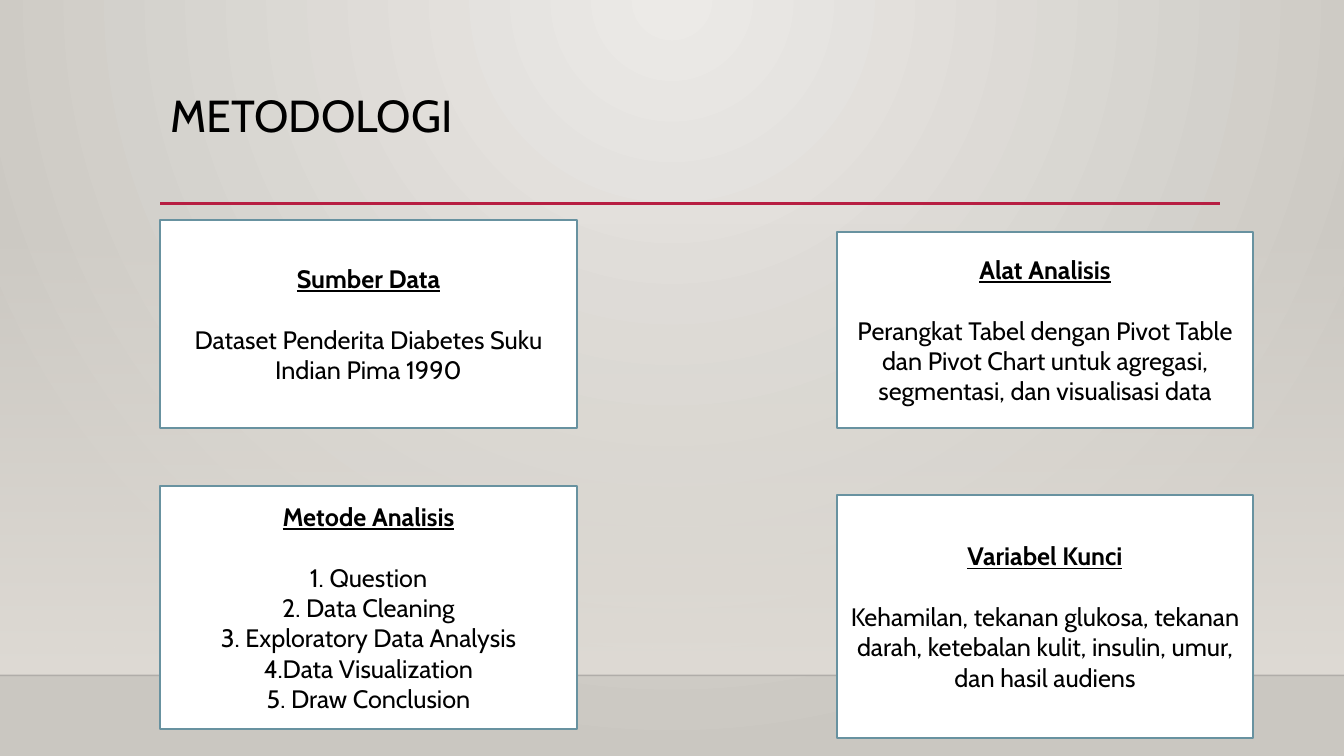
from dataclasses import dataclass

import lxml.etree
import pptx
import pptx.dml.color
import pptx.enum.shapes
import pptx.enum.text
import pptx.oxml.ns
import pptx.util

Inches = pptx.util.Inches
Pt = pptx.util.Pt
qn = pptx.oxml.ns.qn


def rgb(value: str) -> pptx.dml.color.RGBColor:
    return pptx.dml.color.RGBColor.from_string(value)


@dataclass(frozen=True)
class Theme:
    font: str = "Cabin"
    ink: str = "000000"
    card: str = "FFFFFF"
    card_border: str = "6892A0"
    accent: str = "B71E42"
    glow: str = "ECEAE7"
    backdrop: str = "CAC7C1"
    wall: str = "DFDBD5"
    floor_edge: str = "000001"
    title_size: int = 32
    body_size: int = 18
    heading_gap: int = 22


@dataclass(frozen=True)
class Card:
    left: float
    top: float
    height: float
    heading: str
    body: tuple[str, ...]


THEME = Theme()
SLIDE_WIDTH, SLIDE_HEIGHT = 13.33, 7.5
FLOOR_TOP = 6.7
LEFT_COLUMN, RIGHT_COLUMN = 1.59, 8.3
CARD_WIDTH = 4.13

CARDS = (
    Card(LEFT_COLUMN, 2.18, 2.07, "Sumber Data",
         ("Dataset Penderita Diabetes Suku Indian Pima 1990",)),
    Card(RIGHT_COLUMN, 2.3, 1.95, "Alat Analisis",
         ("Perangkat Tabel dengan Pivot Table dan Pivot Chart untuk agregasi, "
          "segmentasi, dan visualisasi data",)),
    Card(LEFT_COLUMN, 4.82, 2.41, "Metode Analisis",
         ("1. Question", "2. Data Cleaning", "3. Exploratory Data Analysis",
          "4.Data Visualization", "5. Draw Conclusion")),
    Card(RIGHT_COLUMN, 4.91, 2.41, "Variabel Kunci",
         ("Kehamilan, tekanan glukosa, tekanan darah, ketebalan kulit, "
          "insulin, umur, dan hasil audiens",)),
)


def set_opacity(color_element, percent: int) -> None:
    alpha = lxml.etree.SubElement(color_element, qn("a:alpha"))
    alpha.set("val", str(percent * 1000))


def set_gradient(fill, start: str, end: str) -> None:
    fill.gradient()
    for stop, color, position in zip(fill.gradient_stops, (start, end), (0, 1)):
        stop.color.rgb = rgb(color)
        stop.position = position


def paint_background(slide) -> None:
    """Fill the slide with a circular glow centred on its top edge."""
    set_gradient(slide.background.fill, THEME.glow, THEME.backdrop)
    gradient = slide._element.xpath(".//p:bgPr/a:gradFill")[0]
    gradient.remove(gradient.find(qn("a:lin")))
    circle = lxml.etree.SubElement(gradient, qn("a:path"), {"path": "circle"})
    lxml.etree.SubElement(circle, qn("a:fillToRect"),
                          {"l": "43000", "t": "0", "r": "43000", "b": "100000"})


def add_box(slide, left: float, top: float, width: float, height: float):
    box = slide.shapes.add_shape(
        pptx.enum.shapes.MSO_SHAPE.RECTANGLE,
        Inches(left), Inches(top), Inches(width), Inches(height))
    box.shadow.inherit = False
    return box


def add_wall(slide) -> None:
    """Add the band above the floor, fading in from transparent."""
    wall = add_box(slide, 0, 2.21, SLIDE_WIDTH, FLOOR_TOP - 2.21)
    wall.line.fill.background()
    set_gradient(wall.fill, THEME.wall, THEME.wall)
    wall.fill.gradient_angle = 270
    set_opacity(wall._element.xpath(".//a:gs/a:srgbClr")[0], 0)


def add_rule(slide, left: float, right: float, y: float, color: str,
             weight: float, opacity: int = 100) -> None:
    rule = slide.shapes.add_connector(
        pptx.enum.shapes.MSO_CONNECTOR.STRAIGHT,
        Inches(left), Inches(y), Inches(right), Inches(y))
    rule.line.color.rgb = rgb(color)
    rule.line.width = Pt(weight)
    if opacity < 100:
        set_opacity(rule._element.xpath(".//a:ln//a:srgbClr")[0], opacity)
    lxml.etree.SubElement(rule._element.spPr, qn("a:effectLst"))


def add_run(paragraph, text: str, size: int, heading: bool = False) -> None:
    run = paragraph.add_run()
    run.text = text
    run.font.name = THEME.font
    run.font.size = Pt(size)
    run.font.color.rgb = rgb(THEME.ink)
    run.font.bold = heading
    run.font.underline = heading


def add_title(slide, text: str) -> None:
    title = slide.shapes.add_textbox(
        Inches(LEFT_COLUMN), Inches(0.88), Inches(10.5), Inches(1.15))
    title.text_frame.word_wrap = True
    paragraph = title.text_frame.paragraphs[0]
    paragraph.line_spacing = 0.9
    add_run(paragraph, text, THEME.title_size)


def add_card(slide, card: Card) -> None:
    box = add_box(slide, card.left, card.top, CARD_WIDTH, card.height)
    box.fill.solid()
    box.fill.fore_color.rgb = rgb(THEME.card)
    box.line.color.rgb = rgb(THEME.card_border)
    box.line.width = Pt(1.25)
    frame = box.text_frame
    frame.word_wrap = True
    frame.vertical_anchor = pptx.enum.text.MSO_ANCHOR.MIDDLE
    heading = frame.paragraphs[0]
    heading.space_after = Pt(THEME.heading_gap)
    add_run(heading, card.heading, THEME.body_size, heading=True)
    for line in card.body:
        add_run(frame.add_paragraph(), line, THEME.body_size)
    for paragraph in frame.paragraphs:
        paragraph.alignment = pptx.enum.text.PP_ALIGN.CENTER


def main() -> None:
    presentation = pptx.Presentation()
    presentation.slide_width = Inches(SLIDE_WIDTH)
    presentation.slide_height = Inches(SLIDE_HEIGHT)
    slide = presentation.slides.add_slide(presentation.slide_layouts[6])
    paint_background(slide)
    add_wall(slide)
    add_rule(slide, 0, SLIDE_WIDTH, FLOOR_TOP, THEME.floor_edge, 1, opacity=20)
    add_rule(slide, LEFT_COLUMN, 12.1, 2.02, THEME.accent, 2.5)
    add_title(slide, "METODOLOGI")
    for card in CARDS:
        add_card(slide, card)
    presentation.save("out.pptx")


if __name__ == "__main__":
    main()
